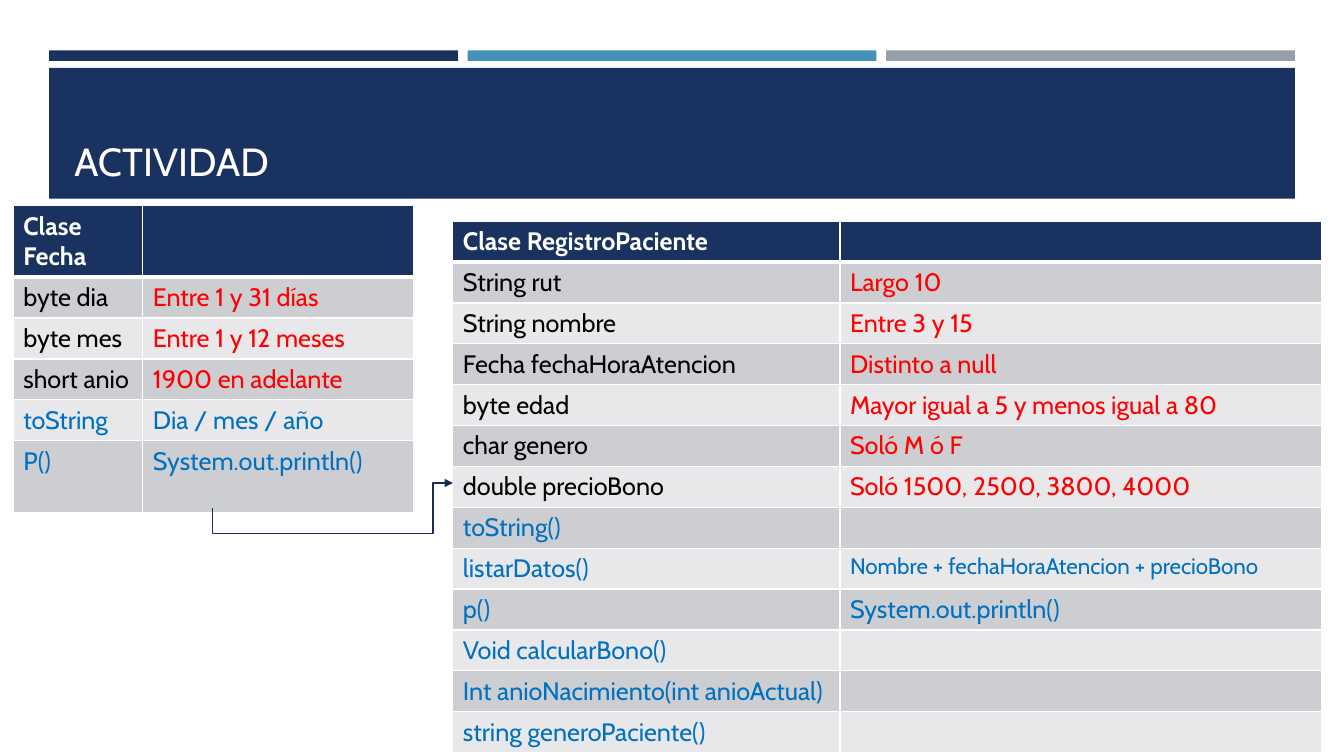
from dataclasses import dataclass

from lxml.etree import SubElement
from pptx import Presentation
from pptx.dml.color import RGBColor
from pptx.enum.shapes import MSO_CONNECTOR, MSO_SHAPE
from pptx.enum.text import MSO_ANCHOR
from pptx.oxml.ns import qn
from pptx.util import Pt

RECTANGLE = MSO_SHAPE.RECTANGLE
ELBOW = MSO_CONNECTOR.ELBOW
BOTTOM = MSO_ANCHOR.BOTTOM


@dataclass(frozen=True)
class Theme:
    """Colours and type sizes of the slide."""
    font: str = "Cabin"
    title_size: int = 28
    body_size: int = 18
    long_size: int = 16
    long_text: int = 35
    navy: str = "1A3260"
    blue: str = "4590B8"
    gray: str = "969FA7"
    white: str = "FFFFFF"
    band_dark: str = "CDCED2"
    band_light: str = "E8E8EA"
    attribute: str = "000000"
    rule: str = "FF0000"
    method: str = "0070C0"
    arrow: str = "172D56"


THEME = Theme()

FECHA = {
    "heading": "Clase Fecha",
    "attributes": [
        ("byte dia", "Entre 1 y 31 días"),
        ("byte mes", "Entre 1 y 12 meses"),
        ("short anio", "1900 en adelante"),
    ],
    "methods": [
        ("toString", "Dia / mes / año"),
        ("P()", "System.out.println()"),
    ],
}

REGISTRO = {
    "heading": "Clase RegistroPaciente",
    "attributes": [
        ("String rut", "Largo 10"),
        ("String nombre", "Entre 3 y 15"),
        ("Fecha fechaHoraAtencion", "Distinto a null"),
        ("byte edad", "Mayor igual a 5 y menos igual a 80"),
        ("char genero", "Soló M ó F"),
        ("double precioBono", "Soló 1500, 2500, 3800, 4000"),
    ],
    "methods": [
        ("toString()", ""),
        ("listarDatos()", "Nombre + fechaHoraAtencion + precioBono"),
        ("p()", "System.out.println()"),
        ("Void calcularBono()", ""),
        ("Int anioNacimiento(int anioActual)", ""),
        ("string generoPaciente()", ""),
    ],
}


def style_text(paragraph, text, size, color, bold=False):
    """Write text into a paragraph with one font setting."""
    paragraph.text = text
    paragraph.font.name = THEME.font
    paragraph.font.size = Pt(size)
    paragraph.font.bold = bold
    paragraph.font.color.rgb = RGBColor.from_string(color)


def add_bar(slide, left, top, width, height, color):
    """Add a plain filled rectangle."""
    bar = slide.shapes.add_shape(RECTANGLE, Pt(left), Pt(top), Pt(width), Pt(height))
    bar.shadow.inherit = False
    bar.fill.solid()
    bar.fill.fore_color.rgb = RGBColor.from_string(color)
    bar.line.fill.background()


def add_header(slide, left, top, width, height, title):
    """Draw three accent bars over a banner that holds the title."""
    gap, bar_height, banner_offset = 7, 7.5, 12.5
    bar_width = (width - 2 * gap) / 3
    for index, color in enumerate((THEME.navy, THEME.blue, THEME.gray)):
        add_bar(slide, left + index * (bar_width + gap), top, bar_width, bar_height, color)
    banner_height = height - banner_offset
    add_bar(slide, left, top + banner_offset, width, banner_height, THEME.navy)

    inset = 11
    box = slide.shapes.add_textbox(Pt(left + inset), Pt(top + banner_offset + 7),
                                   Pt(width - 2 * inset), Pt(banner_height - 14))
    frame = box.text_frame
    frame.word_wrap = True
    frame.vertical_anchor = BOTTOM
    style_text(frame.paragraphs[0], title, THEME.title_size, THEME.white)


def set_borders(cell, top, bottom):
    """Give a cell white borders, with its own top and bottom widths."""
    properties = cell._tc.get_or_add_tcPr()
    widths = {"a:lnL": 1, "a:lnR": 1, "a:lnT": top, "a:lnB": bottom}
    for position, (tag, width) in enumerate(widths.items()):
        line = SubElement(properties, qn(tag), w=str(Pt(width)))
        fill = SubElement(line, qn("a:solidFill"))
        SubElement(fill, qn("a:srgbClr"), val=THEME.white)
        properties.insert(position, line)


def add_class_table(slide, left, top, column_widths, row_heights, class_info):
    """Draw a class as a heading row, attribute rows and method rows."""
    rows = [(class_info["heading"], "", THEME.white, THEME.white)]
    rows += [(*pair, THEME.attribute, THEME.rule) for pair in class_info["attributes"]]
    rows += [(*pair, THEME.method, THEME.method) for pair in class_info["methods"]]
    table = slide.shapes.add_table(len(rows), 2, Pt(left), Pt(top), Pt(sum(column_widths)),
                                   Pt(sum(row_heights))).table
    table.first_row = table.horz_banding = False
    for column, width in zip(table.columns, column_widths):
        column.width = Pt(width)

    for index, (name, note, name_color, note_color) in enumerate(rows):
        table.rows[index].height = Pt(row_heights[index])
        is_heading = index == 0
        band = THEME.band_dark if index % 2 else THEME.band_light
        for column, (text, color) in enumerate(((name, name_color), (note, note_color))):
            cell = table.cell(index, column)
            cell.fill.solid()
            cell.fill.fore_color.rgb = RGBColor.from_string(THEME.navy if is_heading else band)
            set_borders(cell, 3 if index == 1 else 1, 3 if is_heading else 1)
            size = THEME.long_size if len(text) > THEME.long_text else THEME.body_size
            style_text(cell.text_frame.paragraphs[0], text, size, color, is_heading)


def add_link(slide, start_x, start_y, end_x, end_y, drop, lead):
    """Draw an arrow that goes down by drop, across, up, and in by lead."""
    run, rise = end_x - start_x, start_y - end_y
    center_x, center_y = (start_x + end_x) / 2, (start_y + end_y) / 2
    # A quarter turn swaps width and height around the centre.
    link = slide.shapes.add_connector(
        ELBOW, Pt(center_x + rise / 2), Pt(center_y + run / 2),
        Pt(center_x - rise / 2), Pt(center_y - run / 2))
    link.line.width = Pt(1)
    link.line.color.rgb = RGBColor.from_string(THEME.arrow)

    properties = link._element.spPr
    properties.find(qn("a:xfrm")).set("rot", str(90 * 60000))
    geometry = properties.find(qn("a:prstGeom"))
    geometry.set("prst", "bentConnector4")
    adjustments = geometry.find(qn("a:avLst"))
    for name, ratio in (("adj1", -drop / rise), ("adj2", 1 - lead / run)):
        SubElement(adjustments, qn("a:gd"), name=name, fmla=f"val {round(ratio * 100000)}")
    SubElement(properties.find(qn("a:ln")), qn("a:tailEnd"), type="triangle")
    SubElement(properties, qn("a:effectLst"))


def build_activity_slide(presentation):
    """Place the header, the two class tables and the link between them."""
    slide = presentation.slides.add_slide(presentation.slide_layouts[6])
    add_header(slide, 35, 36, 890, 106, "ACTIVIDAD")
    add_class_table(slide, 323.5, 158, (276.5, 344), [29.2] * 13, REGISTRO)
    add_class_table(slide, 9.5, 147, (92.5, 193.5), [51, *[29.2] * 4, 51], FECHA)
    add_link(slide, 152, 363, 323.5, 345, drop=18, lead=14)


presentation = Presentation()
presentation.slide_width = Pt(960)
presentation.slide_height = Pt(540)
build_activity_slide(presentation)
presentation.save("out.pptx")
